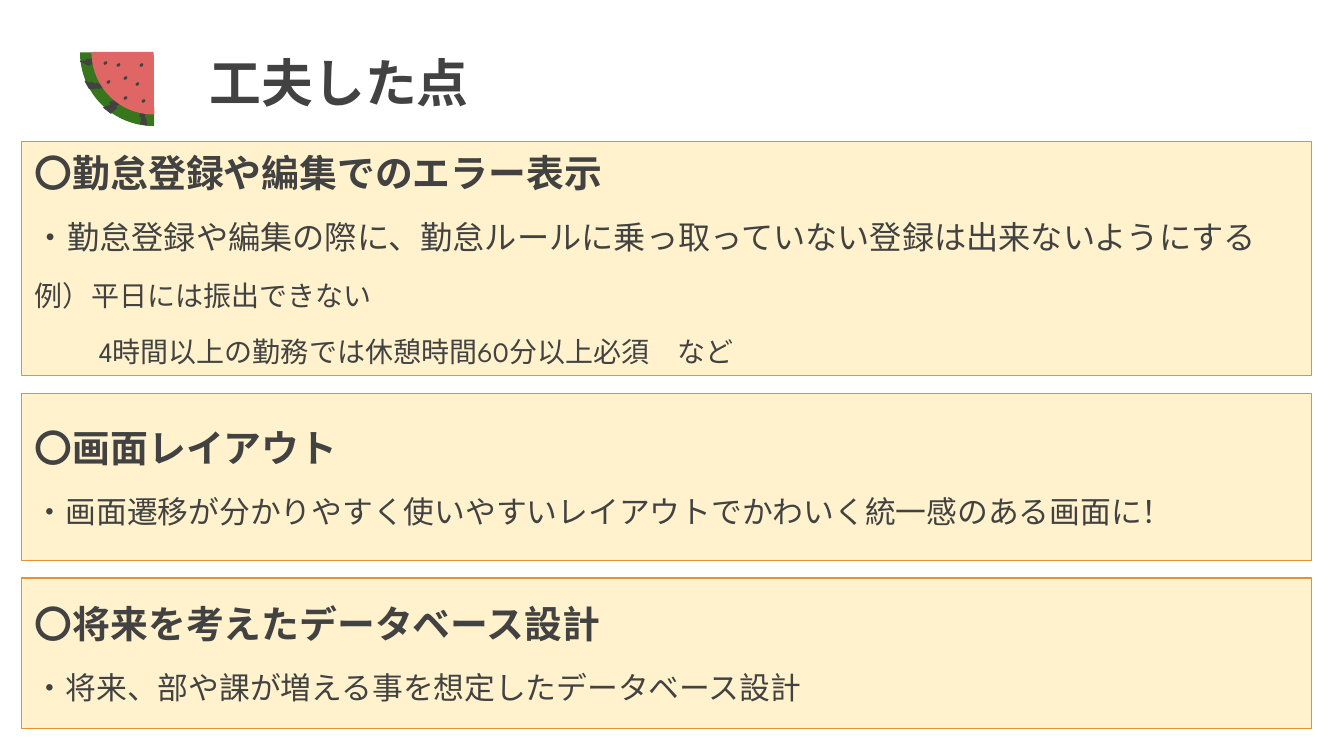
import pptx
import pptx.dml.color
import pptx.enum.shapes
import pptx.enum.text
import pptx.oxml.ns
import pptx.util

PX = 9071
SHAPES = pptx.enum.shapes.MSO_SHAPE
INK = "424242"
BOLTS = [(81, 55, 22, 11, 194.1), (85, 79, 21, 13, 225), (105, 91, 21, 23, 192.1), (136, 102, 12, 24, 149.5)]
SEEDS = [(104, 62), (117, 64), (107, 81), (124, 97), (142, 100), (136, 83), (124, 77), (140, 64)]
PANELS = [
    (142, 234, "〇勤怠登録や編集でのエラー表示", [
        ("・勤怠登録や編集の際に、勤怠ルールに乗っ取っていない登録は出来ないようにする", 23, 0),
        ("例）平日には振出できない", 20, 0),
        ("4時間以上の勤務では休憩時間60分以上必須　など", 20, 64)]),
    (393, 168, "〇画面レイアウト", [
        ("・画面遷移が分かりやすく使いやすいレイアウトでかわいく統一感のある画面に！", 22, 0)]),
    (578, 151, "〇将来を考えたデータベース設計", [
        ("・将来、部や課が増える事を想定したデータベース設計", 22, 0)]),
]


def px(n):
    """Turn pixels into EMU."""
    return pptx.util.Emu(n * PX)


def rgb(value):
    """Turn a hex string into a colour."""
    return pptx.dml.color.RGBColor.from_string(value)


def add_shape(s, kind, box, fill, line=None, rotation=0):
    """Add a filled preset shape with an optional thin outline."""
    sp = s.shapes.add_shape(kind, *map(px, box))
    sp.shadow.inherit = False
    sp.rotation = rotation
    sp.fill.solid()
    sp.fill.fore_color.rgb = rgb(fill)
    if line:
        sp.line.color.rgb = rgb(line)
        sp.line.width = pptx.util.Pt(0.75)
    else:
        sp.line.fill.background()
    return sp


def add_pie(s, box, fill):
    """Add a quarter slice that opens to the lower left."""
    sp = add_shape(s, SHAPES.PIE, box, fill, rotation=270)
    sp.adjustments[0], sp.adjustments[1] = 107.66, 162.1


def add_watermelon(s):
    """Draw the watermelon slice with its stripes and seeds."""
    add_pie(s, (80, -21, 147, 147), "38761D")
    for *box, rotation in BOLTS:
        sp = add_shape(s, SHAPES.LIGHTNING_BOLT, box, INK, INK, rotation)
        sp._element.spPr.xfrm.set("flipH", "1")
    add_pie(s, (91, -10, 125, 124), "E06666")
    for x, y in SEEDS:
        add_shape(s, SHAPES.OVAL, (x, y, 3, 2), INK, INK, 321)


def set_frame(tf, side, top):
    """Set wrapping, middle anchor and insets of a text frame."""
    tf.word_wrap = True
    tf.vertical_anchor = pptx.enum.text.MSO_ANCHOR.MIDDLE
    tf.margin_left = tf.margin_right = px(side)
    tf.margin_top = tf.margin_bottom = px(top)


def write(p, text, size, font, bold=False):
    """Write left-aligned text into a paragraph in one style."""
    p.text = text
    p.alignment = pptx.enum.text.PP_ALIGN.LEFT
    p.font.size = pptx.util.Pt(size)
    p.font.name = font
    p.font.bold = bold
    p.font.color.rgb = rgb(INK)


def add_title(s, text):
    """Add the slide title."""
    tf = s.shapes.add_textbox(px(200), px(52), px(1033), px(67)).text_frame
    set_frame(tf, 10, 5)
    p = tf.paragraphs[0]
    write(p, text, 37, "Roboto", True)
    p.line_spacing = 0.9


def add_panel(s, top, height, heading, lines):
    """Add a cream panel with a bold heading and its lines."""
    sp = add_shape(s, SHAPES.RECTANGLE, (22, top, 1290, height), "FFF2CC", "E69138")
    tf = sp.text_frame
    set_frame(tf, 13, 13)
    write(tf.paragraphs[0], heading, 27, "League Spartan", True)
    for text, size, indent in lines:
        p = tf.add_paragraph()
        if indent:
            p._p.get_or_add_pPr().set("marL", str(px(indent)))
        write(p, text, size, "League Spartan")
        p.space_before = pptx.util.Pt(16)
    p.space_after = pptx.util.Pt(16)


def main():
    """Build and save the slide."""
    prs = pptx.Presentation()
    prs.slide_width, prs.slide_height = px(1344), px(756)
    s = prs.slides.add_slide(prs.slide_layouts[6])
    add_watermelon(s)
    add_title(s, "工夫した点")
    for panel in PANELS:
        add_panel(s, *panel)
    prs.save("out.pptx")


if __name__ == "__main__":
    main()
